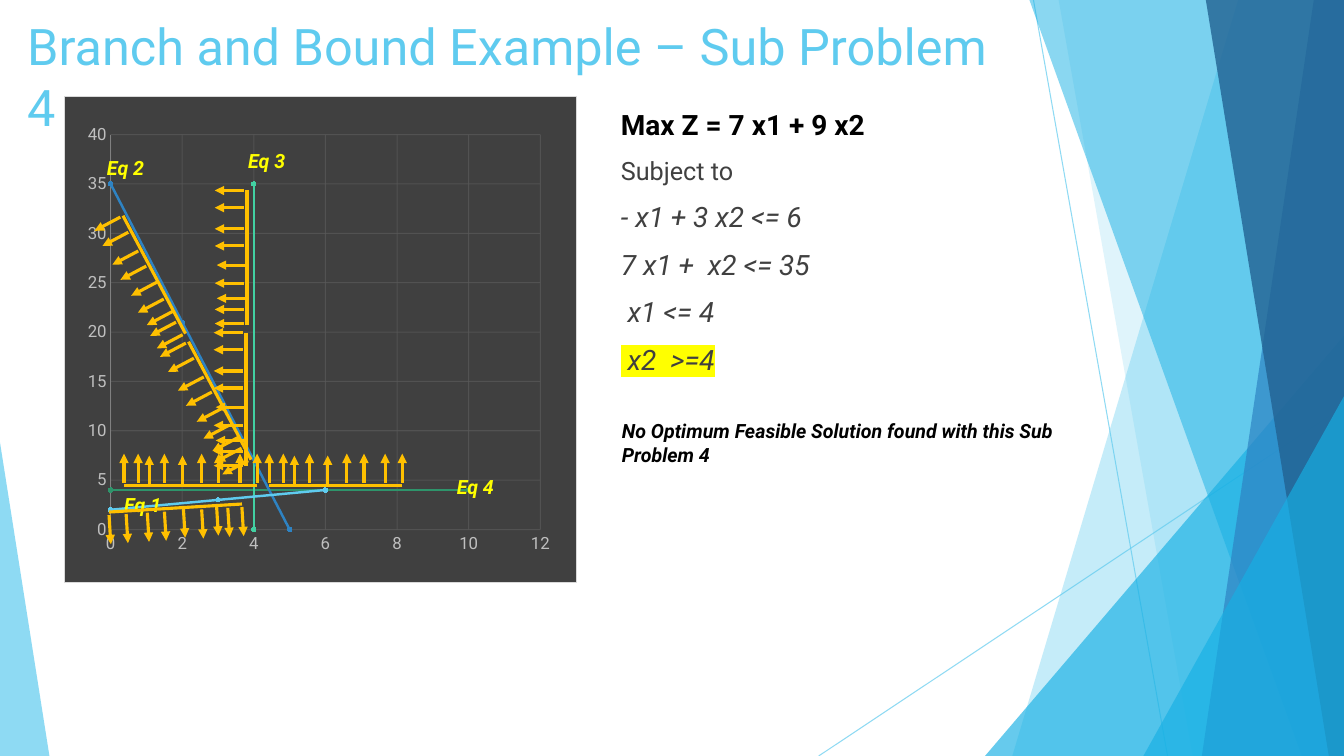
from math import hypot

from lxml import etree
from pptx import Presentation
from pptx.chart import data
from pptx.dml.color import RGBColor
from pptx.enum import chart as ch, shapes, text
from pptx.oxml import parse_xml
from pptx.oxml.ns import nsdecls, qn
from pptx.util import Inches, Pt

FONT = "Roboto"
SKY = RGBColor(0x5F, 0xCB, 0xEF)
CYAN = RGBColor(0x17, 0xB0, 0xE4)
BLUE = RGBColor(0x2E, 0x83, 0xC3)
NAVY = RGBColor(0x22, 0x62, 0x92)
BLACK = RGBColor(0, 0, 0)
GRAPHITE = RGBColor(0x40, 0x40, 0x40)
YELLOW = RGBColor(0xFF, 0xFF, 0)
AMBER = RGBColor(0xFF, 0xC0, 0)
TICK = RGBColor(0xBF, 0xBF, 0xBF)
GRID = RGBColor(0x59, 0x59, 0x59)
AXIS = RGBColor(0x80, 0x80, 0x80)

TITLE = "Branch and Bound Example – Sub Problem 4"
RAYS = [((10.25, 0), (11.58, 7.5)), ((13.33, 4.03), (8.12, 7.5))]
FACETS = [
    ([(12.28, 0), (13.33, 0), (13.33, 7.5), (10.04, 7.5)], SKY, 36),
    ([(10.5, 0), (13.33, 0), (13.33, 7.5), (11.83, 7.5)], SKY, 20),
    ([(9.77, 7.5), (13.33, 3.33), (13.33, 7.5)], CYAN, 66),
    ([(10.21, 0), (13.33, 0), (13.33, 7.5), (12.91, 7.5)], CYAN, 50),
    ([(13.03, 0), (13.33, 0), (13.33, 7.5), (11.92, 7.5)], BLUE, 70),
    ([(11.96, 0), (13.33, 0), (13.33, 7.5), (13.18, 7.5)], NAVY, 80),
    ([(11.34, 7.5), (13.33, 3.93), (13.33, 7.5)], CYAN, 66),
    ([(0, 4.39), (0.49, 7.5), (0, 7.5)], SKY, 70),
]
CONSTRAINTS = [
    ("Series 1", [(0, 2), (3, 3), (6, 4)], SKY, RGBColor(0x9F, 0xE0, 0xF5)),
    ("Series 2", [(5, 0), (0, 35), (2, 21)], BLUE, RGBColor(0x7C, 0xB5, 0xE0)),
    ("Series 3", [(4, 35), (4, 0)], RGBColor(0x42, 0xD0, 0xA2), RGBColor(0x8E, 0xE3, 0xC7)),
    ("Series 4", [(0, 4), (10, 4)], RGBColor(0x2E, 0x94, 0x6B), RGBColor(0x6E, 0xD2, 0xAA)),
]
PLOT_AREA = {"x": 0.091, "y": 0.079, "w": 0.839, "h": 0.813}
EQUATIONS = [("Eq 1", 1.07, 4.8), ("Eq 2", 0.9, 1.46), ("Eq 3", 2.3, 1.39), ("Eq 4", 4.37, 4.62)]
COMBS = [
    ((1.08, 5.08), (2.4, 5)),
    ((2.44, 3.3), (2.44, 4.62)),
    ((1.22, 2.14), (1.84, 3.31)),
    ((1.87, 3.39), (2.49, 4.56)),
    ((2.45, 1.89), (2.45, 3.22)),
    ((2.55, 4.82), (1.23, 4.82)),
    ((3.99, 4.82), (2.67, 4.82)),
]
TEETH = [(0, 0.03), (0.17, 0.03), (0.38, 0.03), (0.55, 0.03), (0.74, 0.01),
         (0.92, 0.03), (1.07, 0.01), (1.18, 0.03), (1.32, 0.03)]
TOOTH_LENGTH = 0.29
MODEL = [
    ("Max Z = 7 x1 + 9 x2", 20, BLACK, True, False),
    ("Subject to", 18, GRAPHITE, False, False),
    ("- x1 + 3 x2 <= 6", 20, GRAPHITE, False, True),
    ("7 x1 +  x2 <= 35", 20, GRAPHITE, False, True),
    (" x1 <= 4", 20, GRAPHITE, False, True),
    (" x2  >=4", 20, GRAPHITE, False, True),
]
VERDICT = [("No Optimum Feasible Solution found with this Sub Problem 4", 14, BLACK, True, True)]


def set_alpha(part, percent):
    color = part.element.xpath(".//a:srgbClr")[0]
    etree.SubElement(color, qn("a:alpha")).set("val", str(percent * 1000))


def add_line(slide, start, end, color, width, arrow=False):
    line = slide.shapes.add_connector(
        shapes.MSO_CONNECTOR.STRAIGHT, *[Inches(v) for v in (*start, *end)])
    line.line.color.rgb = color
    line.line.width = Pt(width)
    if arrow:
        etree.SubElement(line.line._get_or_add_ln(), qn("a:tailEnd")).set("type", "triangle")
    etree.SubElement(line.element.spPr, qn("a:effectLst"))
    return line


def add_facet(slide, corners, color, opacity):
    points = [(Inches(x), Inches(y)) for x, y in corners]
    builder = slide.shapes.build_freeform(*points[0])
    builder.add_line_segments(points[1:], close=True)
    facet = builder.convert_to_shape()
    facet.shadow.inherit = False
    facet.fill.solid()
    facet.fill.fore_color.rgb = color
    facet.line.fill.background()
    set_alpha(facet, opacity)


def add_text(slide, box, lines, centred=False):
    frame = slide.shapes.add_textbox(*[Inches(v) for v in box]).text_frame
    frame.word_wrap = True
    if centred:
        frame.vertical_anchor = text.MSO_ANCHOR.MIDDLE
    for index, (words, size, color, bold, italic) in enumerate(lines):
        para = frame.add_paragraph() if index else frame.paragraphs[0]
        para.add_run().text = words
        para.space_before = Pt(10 if index else 0)
        para.alignment = text.PP_ALIGN.CENTER if centred else text.PP_ALIGN.LEFT
        font = para.font
        font.name, font.size, font.bold, font.italic = FONT, Pt(size), bold, italic
        font.color.rgb = color
    return frame


def add_comb(slide, start, end):
    (x0, y0), (x1, y1) = start, end
    length = hypot(x1 - x0, y1 - y0)
    dx, dy = (x1 - x0) / length, (y1 - y0) / length
    add_line(slide, start, end, AMBER, 2.25)
    for along, gap in TEETH:
        root, tip = [(x0 + along * dx - out * dy, y0 + along * dy + out * dx)
                     for out in (gap, gap + TOOTH_LENGTH)]
        add_line(slide, root, tip, AMBER, 2.25, arrow=True)


def style_axis(axis, top, step):
    axis.minimum_scale, axis.maximum_scale, axis.major_unit = 0, top, step
    axis.major_tick_mark = axis.minor_tick_mark = ch.XL_TICK_MARK.NONE
    axis.has_major_gridlines = True
    grid = axis.major_gridlines.format.line
    grid.color.rgb, grid.width = GRID, Pt(0.75)
    grid_color = axis.major_gridlines._xAx.xpath("c:majorGridlines//a:srgbClr")[0]
    etree.SubElement(grid_color, qn("a:alpha")).set("val", "75000")
    font = axis.tick_labels.font
    font.name, font.size, font.color.rgb = FONT, Pt(12), TICK
    axis.tick_labels.number_format = "General"
    axis.tick_labels.number_format_is_linked = False


def constraint_data():
    points = data.XyChartData()
    for name, own, _, _ in CONSTRAINTS:
        series = points.add_series(name)
        for _, pairs, _, _ in CONSTRAINTS:
            for x, y in pairs:
                series.add_data_point(x, y if pairs is own else None)
    return points


def add_graph(slide):
    graph = slide.shapes.add_chart(
        ch.XL_CHART_TYPE.XY_SCATTER_SMOOTH, Inches(0.63), Inches(0.95),
        Inches(5.09), Inches(4.83), constraint_data()).chart
    for blank in graph.element.xpath(".//c:yVal//c:pt[c:v='None']"):
        blank.getparent().remove(blank)
    graph.has_legend = graph.has_title = False
    graph.font.name, graph.font.size, graph.font.color.rgb = FONT, Pt(10), BLACK
    graph.plots[0].vary_by_categories = False
    style_axis(graph.category_axis, 12, 2)
    style_axis(graph.value_axis, 40, 5)
    graph.category_axis.format.line.fill.background()
    graph.value_axis.format.line.color.rgb = AXIS
    graph.value_axis.format.line.width = Pt(0.75)
    for series, (_, _, color, dot) in zip(graph.plots[0].series, CONSTRAINTS):
        series.smooth = False
        series.format.line.color.rgb, series.format.line.width = color, Pt(1.75)
        marker = series.marker
        marker.style, marker.size = ch.XL_MARKER_STYLE.CIRCLE, 3
        marker.format.fill.solid()
        marker.format.fill.fore_color.rgb = dot
        marker.format.line.color.rgb = color
    area = graph.element.find(".//" + qn("c:plotArea"))
    for layout in area.findall(qn("c:layout")):
        area.remove(layout)
    sizes = "".join(f'<c:{key} val="{value}"/>' for key, value in PLOT_AREA.items())
    area.insert(0, parse_xml(
        f'<c:layout {nsdecls("c")}><c:manualLayout><c:layoutTarget val="inner"/>'
        f'<c:xMode val="edge"/><c:yMode val="edge"/>{sizes}</c:manualLayout></c:layout>'))
    graph.element.find(qn("c:chart")).addnext(parse_xml(
        f'<c:spPr {nsdecls("c", "a")}><a:solidFill><a:srgbClr val="{GRAPHITE}"/></a:solidFill>'
        '<a:ln w="9525"><a:solidFill><a:srgbClr val="D9D9D9"/></a:solidFill></a:ln></c:spPr>'))


def main():
    """Build the branch and bound slide for sub problem 4."""
    deck = Presentation()
    deck.slide_width, deck.slide_height = Inches(13.33), Inches(7.5)
    slide = deck.slides.add_slide(deck.slide_layouts[5])
    for start, end in RAYS:
        set_alpha(add_line(slide, start, end, SKY, 0.75), 70)
    for facet in FACETS:
        add_facet(slide, *facet)

    title = slide.shapes.title
    title.left, title.top, title.width, title.height = [Inches(v) for v in (0.17, 0.1, 10.05, 0.8)]
    title.text_frame.text = TITLE
    title.text_frame.word_wrap = True
    title.text_frame.auto_size = text.MSO_AUTO_SIZE.NONE
    title.text_frame.vertical_anchor = text.MSO_ANCHOR.TOP
    heading = title.text_frame.paragraphs[0]
    heading.alignment = text.PP_ALIGN.LEFT
    heading.font.name, heading.font.size, heading.font.color.rgb = FONT, Pt(36), SKY

    add_graph(slide)
    for words, left, top in EQUATIONS:
        add_text(slide, (left, top, 0.69, 0.41), [(words, 14, YELLOW, True, True)], centred=True)
    for start, end in COMBS:
        add_comb(slide, start, end)
    add_text(slide, (6.07, 4.11, 5.14, 0.73), VERDICT)
    model = add_text(slide, (6.06, 1.02, 2.8, 2.52), MODEL)
    branch = model.paragraphs[-1].runs[0]
    branch._r.get_or_add_rPr().append(parse_xml(
        f'<a:highlight {nsdecls("a")}><a:srgbClr val="{YELLOW}"/></a:highlight>'))
    deck.save("out.pptx")


if __name__ == "__main__":
    main()
